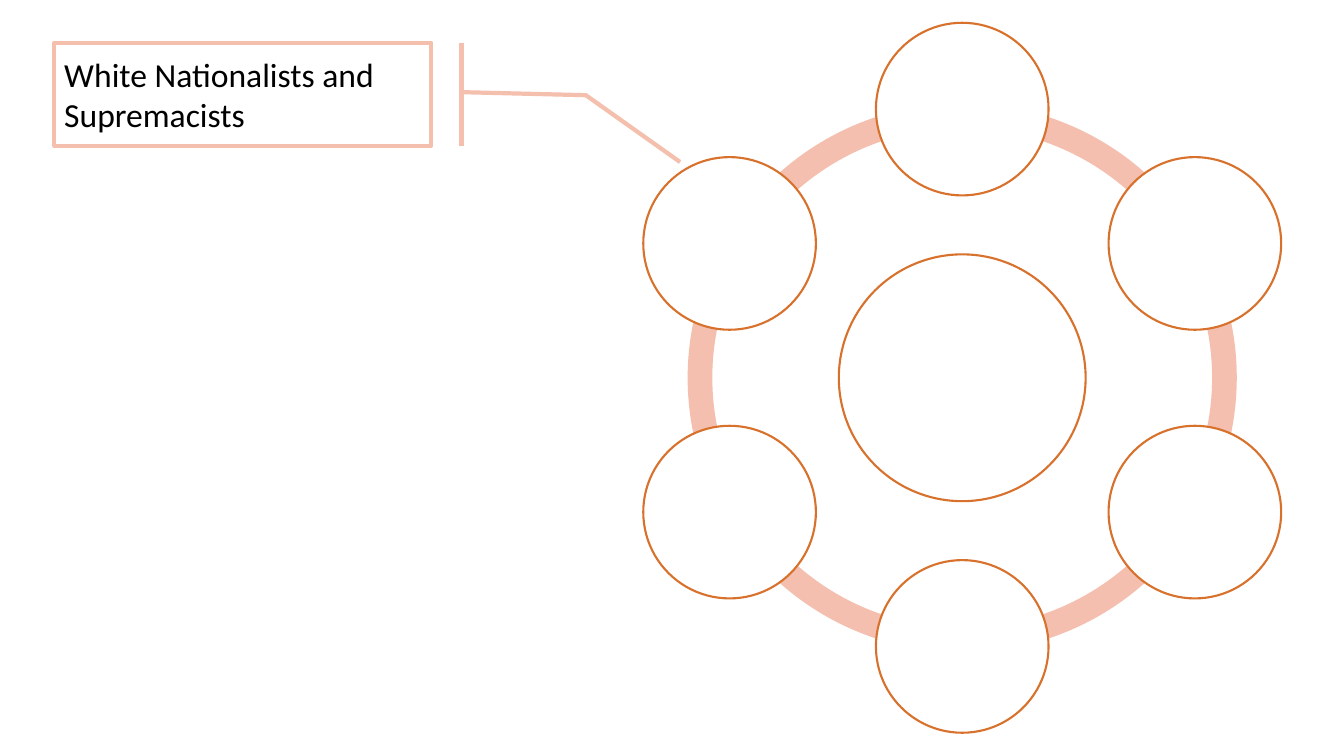
"""Build a slide with a six-node ring and one labelled callout."""
from math import cos, radians, sin

from pptx import Presentation
from pptx.dml.color import RGBColor
from pptx.enum.shapes import MSO_SHAPE as SHAPE
from pptx.enum.text import MSO_ANCHOR as ANCHOR, PP_ALIGN as ALIGN
from pptx.util import Cm, Pt

PEACH = RGBColor(0xF4, 0xBF, 0xAE)
CALLOUT = RGBColor(0xF5, 0xBF, 0xAD)
ORANGE = RGBColor(0xD7, 0x71, 0x2C)
WHITE = RGBColor(0xFF, 0xFF, 0xFF)
BLACK = RGBColor(0x00, 0x00, 0x00)

CX, CY = 24.25, 9.52
ORBIT = 6.77
RING, CORE, NODE = 13.84, 6.22, 4.35
ANGLE_UNIT = 0.6


def add_round(shapes, kind, x, y, size, fill):
    sp = shapes.add_shape(kind, Cm(x - size / 2), Cm(y - size / 2), Cm(size), Cm(size))
    sp.shadow.inherit = False
    sp.fill.solid()
    sp.fill.fore_color.rgb = fill
    return sp


def add_circle(shapes, x, y, size):
    sp = add_round(shapes, SHAPE.OVAL, x, y, size, WHITE)
    sp.line.color.rgb = ORANGE
    sp.line.width = Pt(1.5)


prs = Presentation()
prs.slide_width, prs.slide_height = Cm(33.87), Cm(19.05)
s = prs.slides.add_slide(prs.slide_layouts[6])

for start in (210, 150, 90, 30, 330, 270):
    arc = add_round(s.shapes, SHAPE.BLOCK_ARC, CX, CY, RING, PEACH)
    arc.line.fill.background()
    arc.adjustments[0] = start * ANGLE_UNIT
    arc.adjustments[1] = (start + 60) % 360 * ANGLE_UNIT
    arc.adjustments[2] = 0.045

add_circle(s.shapes, CX, CY, CORE)
for angle in range(-90, 270, 60):
    x = CX + ORBIT * cos(radians(angle))
    y = CY + ORBIT * sin(radians(angle))
    add_circle(s.shapes, x, y, NODE)

label = s.shapes.add_shape(SHAPE.LINE_CALLOUT_2_BORDER_AND_ACCENT_BAR,
                           Cm(1.37), Cm(1.08), Cm(9.5), Cm(2.59))
label.shadow.inherit = False
label.fill.background()
label.line.color.rgb = CALLOUT
label.line.width = Pt(3)
for i, value in enumerate((0.48, 1.08, 0.51, 1.41, 1.16, 1.66)):
    label.adjustments[i] = value

tf = label.text_frame
tf.word_wrap = True
tf.vertical_anchor = ANCHOR.MIDDLE
p = tf.paragraphs[0]
p.text = "White Nationalists and Supremacists"
p.alignment = ALIGN.LEFT
p.font.name = "Calibri"
p.font.size = Pt(24)
p.font.color.rgb = BLACK

prs.save("out.pptx")
